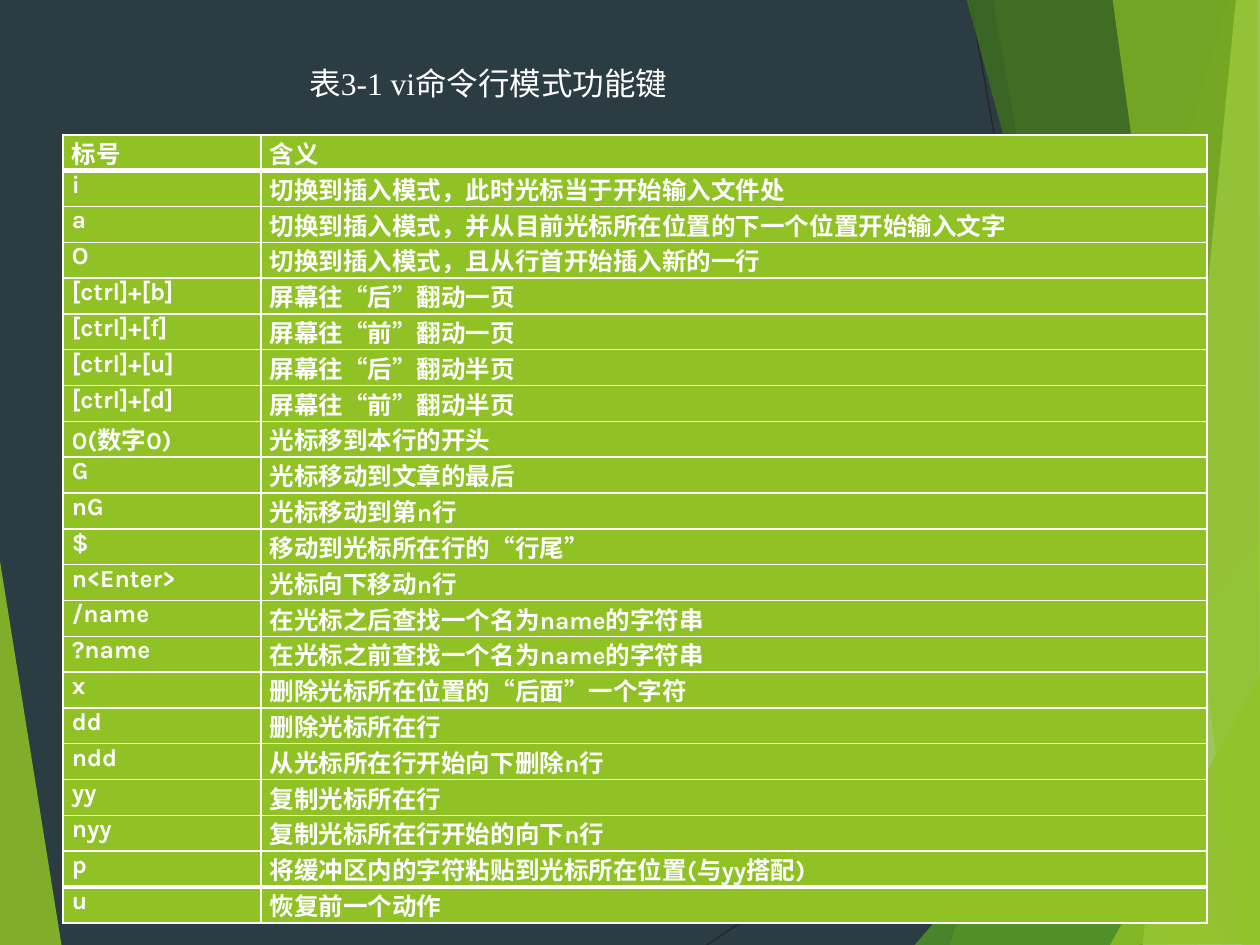
from dataclasses import dataclass

from pptx import Presentation
from pptx.dml.color import RGBColor
from pptx.enum.shapes import MSO_CONNECTOR
from pptx.enum.text import MSO_ANCHOR, MSO_AUTO_SIZE, PP_ALIGN
from pptx.oxml.ns import qn
from pptx.util import Inches, Pt
from lxml.etree import SubElement


@dataclass(frozen=True)
class Theme:
    """Colours, fonts and type sizes of the slide."""
    background: str = "2C3C43"
    text: str = "FFFFFF"
    rule: str = "262626"
    green: str = "90C226"
    mid_green: str = "54A021"
    dark_green: str = "3F7819"
    pale_green: str = "C0E474"
    title_font: str = "Times New Roman"
    table_font: str = "Karla"
    title_size: int = 18
    table_size: int = 14


THEME = Theme()

RULES = [((5.61, 7.5), (10.01, 4.57)), ((7.7, 0), (9.04, 7.5))]

# Fill colour, opacity in percent, corner points
FACETS = [
    (THEME.green, 85, [(-0.01, 4.39), (0.49, 7.51), (-0.01, 7.5)]),
    (THEME.green, 30, [(9.75, 0), (7.54, 7.5), (10.02, 7.51), (10.01, 0.01)]),
    (THEME.green, 20, [(7.88, -0.01), (9.19, 7.5), (10.01, 7.5), (10.01, -0.01)]),
    (THEME.mid_green, 72, [(7.26, 7.5), (10, 4.29), (10.01, 7.5)]),
    (THEME.dark_green, 70, [(7.67, -0.01), (9.7, 7.5), (10.01, 7.49), (10.01, -0.01)]),
    (THEME.pale_green, 70, [(9.81, -0.01), (9.07, 7.5), (10.01, 7.5), (10, -0.01)]),
    (THEME.green, 65, [(8.83, -0.01), (9.86, 7.5), (10, 7.5), (9.98, -0.01)]),
    (THEME.green, 80, [(8.81, 7.5), (10.01, 5.35), (10.01, 7.49)]),
]

TITLE = "表3-1 vi命令行模式功能键"

KEYS = [
    ("标号", "含义"),
    ("i", "切换到插入模式，此时光标当于开始输入文件处"),
    ("a", "切换到插入模式，并从目前光标所在位置的下一个位置开始输入文字"),
    ("O", "切换到插入模式，且从行首开始插入新的一行"),
    ("[ctrl]+[b]", "屏幕往“后”翻动一页"),
    ("[ctrl]+[f]", "屏幕往“前”翻动一页"),
    ("[ctrl]+[u]", "屏幕往“后”翻动半页"),
    ("[ctrl]+[d]", "屏幕往“前”翻动半页"),
    ("0(数字0)", "光标移到本行的开头"),
    ("G", "光标移动到文章的最后"),
    ("nG", "光标移动到第n行"),
    ("$", "移动到光标所在行的“行尾”"),
    ("n<Enter>", "光标向下移动n行"),
    ("/name", "在光标之后查找一个名为name的字符串"),
    ("?name", "在光标之前查找一个名为name的字符串"),
    ("x", "删除光标所在位置的“后面”一个字符"),
    ("dd", "删除光标所在行"),
    ("ndd", "从光标所在行开始向下删除n行"),
    ("yy", "复制光标所在行"),
    ("nyy", "复制光标所在行开始的向下n行"),
    ("p", "将缓冲区内的字符粘贴到光标所在位置(与yy搭配)"),
    ("u", "恢复前一个动作"),
]


def set_all(target, values):
    """Set every attribute named in a dict."""
    for name, value in values.items():
        setattr(target, name, value)


def write_text(para, text, font, size, bold):
    """Add one formatted span to a paragraph."""
    span = para.add_run()
    span.text = text
    set_all(span.font, {"name": font, "size": Pt(size), "bold": bold})
    span.font.color.rgb = RGBColor.from_string(THEME.text)


def add_rule(page, start, end):
    """Draw a thin straight line."""
    ends = [Inches(value) for value in (*start, *end)]
    rule = page.shapes.add_connector(MSO_CONNECTOR.STRAIGHT, *ends)
    rule.line.color.rgb = RGBColor.from_string(THEME.rule)
    rule.line.width = Pt(0.75)
    SubElement(rule.element.spPr, qn("a:effectLst"))


def add_facet(page, colour, opacity, corners):
    """Draw a translucent polygon."""
    points = [(Inches(x), Inches(y)) for x, y in corners]
    builder = page.shapes.build_freeform(*points[0])
    builder.add_line_segments(points[1:], close=True)
    facet = builder.convert_to_shape()
    facet.shadow.inherit = False
    facet.fill.solid()
    facet.fill.fore_color.rgb = RGBColor.from_string(colour)
    facet.line.fill.background()
    tint = facet.element.spPr.find(qn("a:solidFill")).find(qn("a:srgbClr"))
    SubElement(tint, qn("a:alpha"), val=str(opacity * 1000))


def add_title(page):
    """Place and fill the title placeholder."""
    title = page.shapes.title
    set_all(title, {"left": Inches(2.34), "top": Inches(0.46),
                    "width": Inches(3.07), "height": Inches(0.4)})
    set_all(title.text_frame, {"word_wrap": True, "auto_size": MSO_AUTO_SIZE.NONE,
                               "vertical_anchor": MSO_ANCHOR.MIDDLE})
    para = title.text_frame.paragraphs[0]
    para.alignment = PP_ALIGN.CENTER
    write_text(para, TITLE, THEME.title_font, THEME.title_size, False)


def set_borders(cell, top, bottom):
    """Draw the four cell borders, with given top and bottom widths."""
    properties = cell._tc.get_or_add_tcPr()
    for side, width in {"L": 1, "R": 1, "T": top, "B": bottom}.items():
        line = SubElement(properties, qn(f"a:ln{side}"), w=str(Pt(width)))
        fill = SubElement(line, qn("a:solidFill"))
        SubElement(fill, qn("a:srgbClr"), val=THEME.text)


def fill_cell(cell, text, top, bottom):
    """Format one table cell and write its text."""
    set_borders(cell, top, bottom)
    set_all(cell, {"margin_left": Inches(0.07), "margin_right": Inches(0.07),
                   "margin_top": 0, "margin_bottom": 0})
    cell.fill.solid()
    cell.fill.fore_color.rgb = RGBColor.from_string(THEME.green)
    para = cell.text_frame.paragraphs[0]
    set_all(para, {"space_before": Pt(1), "space_after": Pt(1)})
    write_text(para, text, THEME.table_font, THEME.table_size, True)


def add_key_table(page):
    """Add the table of keys, with heavy rules after the head and before the last row."""
    count = len(KEYS)
    table = page.shapes.add_table(count, 2, Inches(0.5), Inches(1.07),
                                  Inches(9.08), Inches(6.26)).table
    set_all(table, {"first_row": True, "last_row": True, "horz_banding": False})
    for column, width in zip(table.columns, (1.57, 7.51)):
        column.width = Inches(width)
    heavy = (1, count - 1)
    for index, texts in enumerate(KEYS):
        top = 3 if index in heavy else 1
        bottom = 3 if index + 1 in heavy else 1
        for cell, text in zip(table.rows[index].cells, texts):
            fill_cell(cell, text, top, bottom)


def main():
    """Build the slide and save the deck."""
    deck = Presentation()
    set_all(deck, {"slide_width": Inches(10), "slide_height": Inches(7.5)})
    page = deck.slides.add_slide(deck.slide_layouts[5])
    page.background.fill.solid()
    page.background.fill.fore_color.rgb = RGBColor.from_string(THEME.background)
    for start, end in RULES:
        add_rule(page, start, end)
    for colour, opacity, corners in FACETS:
        add_facet(page, colour, opacity, corners)
    add_key_table(page)
    add_title(page)
    deck.save("out.pptx")


main()
